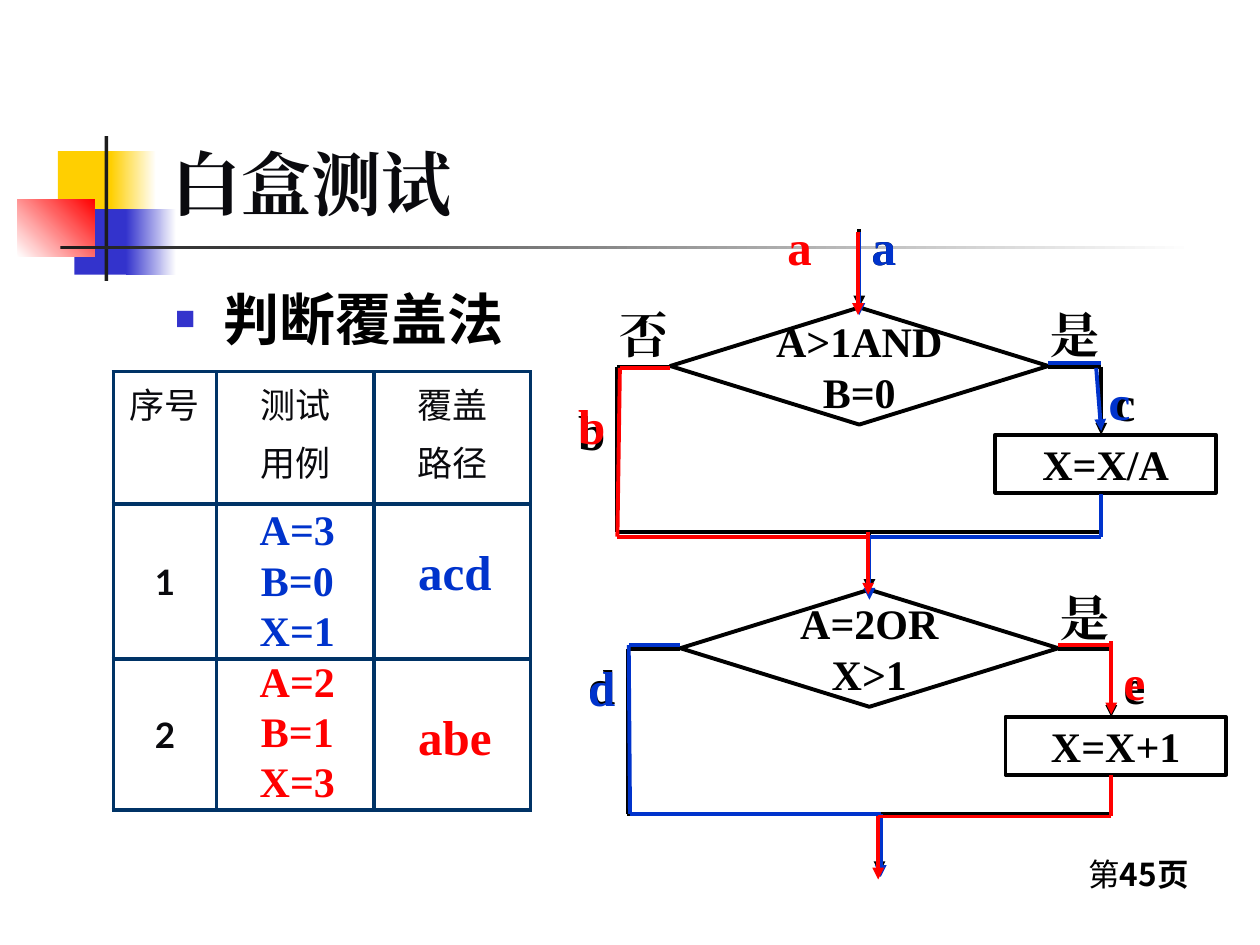
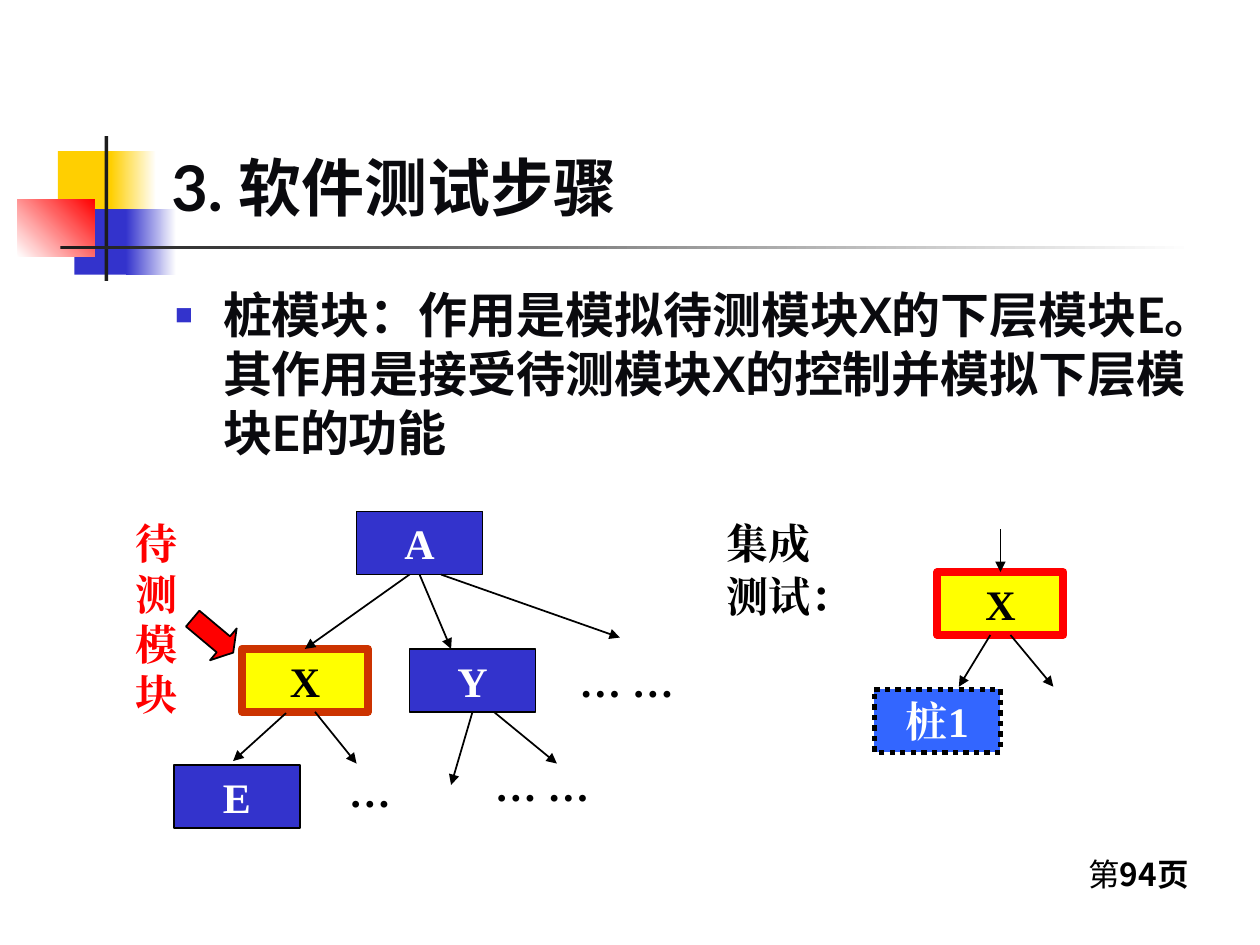
from lxml import etree
from pptx import Presentation
from pptx.dml.color import RGBColor
from pptx.enum.dml import MSO_LINE
from pptx.enum.shapes import MSO_CONNECTOR, MSO_SHAPE
from pptx.enum.text import MSO_ANCHOR, MSO_AUTO_SIZE, PP_ALIGN
from pptx.oxml.ns import qn
from pptx.util import Inches, Pt

RECT = MSO_SHAPE.RECTANGLE
PROCESS = MSO_SHAPE.FLOWCHART_PROCESS
DECISION = MSO_SHAPE.FLOWCHART_DECISION
RIGHT_ARROW = MSO_SHAPE.RIGHT_ARROW
STRAIGHT = MSO_CONNECTOR.STRAIGHT
LEFT, CENTER = PP_ALIGN.LEFT, PP_ALIGN.CENTER
TOP, MIDDLE, BOTTOM = MSO_ANCHOR.TOP, MSO_ANCHOR.MIDDLE, MSO_ANCHOR.BOTTOM
DOTTED = MSO_LINE.ROUND_DOT

BLACK = RGBColor(0x00, 0x00, 0x00)
WHITE = RGBColor(0xFF, 0xFF, 0xFF)
INK = RGBColor(0x0A, 0x0A, 0x0E)
CHARCOAL = RGBColor(0x1C, 0x1C, 0x1C)
GOLD = RGBColor(0xFF, 0xCF, 0x01)
INDIGO = RGBColor(0x33, 0x33, 0xCC)
RED = RGBColor(0xFF, 0x00, 0x00)
BLUE = RGBColor(0x00, 0x33, 0xCC)
NAVY = RGBColor(0x00, 0x33, 0x66)
YELLOW = RGBColor(0xFF, 0xFF, 0x00)
RUST = RGBColor(0xCC, 0x33, 0x00)
STUB_BLUE = RGBColor(0x33, 0x66, 0xFF)

SERIF, SANS, CJK = "Times New Roman", "Lato", "Noto Sans CJK SC"

# The slide is a grid of 10 columns by 7.5 rows; all positions count its cells.
COLS, ROWS = 10, 7.5
CELL = Inches(1)
FLOW_LINE = 2.25


def grid(*cells):
    return [round(CELL * n) for n in cells]


def style_run(r, size, color, font=SERIF, bold=True, east_asian=None):
    r.font.size = Pt(size)
    r.font.bold = bold
    r.font.color.rgb = color
    r.font.name = font
    ea = etree.SubElement(r.font._element, qn("a:ea"))
    ea.set("typeface", east_asian or font)


def write(tf, text, size, color, align=LEFT, gap=0, **run_style):
    """Fill a text frame, one paragraph per line; gap is the space between them."""
    tf.text = text
    for i, p in enumerate(tf.paragraphs):
        p.alignment = align
        p.space_before = Pt(gap if i else 0)
        for r in p.runs:
            style_run(r, size, color, **run_style)


def add_label(s, text, at, size, color, **style):
    tf = s.shapes.add_textbox(*grid(*at)).text_frame
    tf.word_wrap = True
    write(tf, text, size, color, **style)


def add_box(s, kind, at, fill=None, line=None, width=1.0, text="", color=BLACK):
    sp = s.shapes.add_shape(kind, *grid(*at))
    sp.shadow.inherit = False
    if fill is None:
        sp.fill.background()
    else:
        sp.fill.solid()
        sp.fill.fore_color.rgb = fill
    if line is None:
        sp.line.fill.background()
    else:
        sp.line.color.rgb = line
        sp.line.width = Pt(width)
    if text:
        tf = sp.text_frame
        tf.word_wrap = False
        tf.vertical_anchor = MIDDLE
        write(tf, text, 24, color, align=CENTER)
    return sp


def add_fade(s, at, start, end, angle=0):
    """Rectangle with a two-colour gradient."""
    sp = add_box(s, RECT, at)
    sp.fill.gradient()
    sp.fill.gradient_angle = angle
    for stop, color, position in zip(sp.fill.gradient_stops, (start, end), (0, 1)):
        stop.color.rgb = color
        stop.position = position


def add_route(s, points, color=BLACK, width=FLOW_LINE, arrow=True):
    """Chain of straight lines through the points, with an arrowhead at the end."""
    for start, end in zip(points, points[1:]):
        cx = s.shapes.add_connector(STRAIGHT, *grid(*start, *end))
        cx.line.color.rgb = color
        cx.line.width = Pt(width)
        spPr = cx.element.spPr
        if arrow and end == points[-1]:
            tail = etree.SubElement(spPr.find(qn("a:ln")), qn("a:tailEnd"))
            tail.set("type", "triangle")
        etree.SubElement(spPr, qn("a:effectLst"))


def place(ph, at, anchor):
    ph.left, ph.top, ph.width, ph.height = grid(*at)
    tf = ph.text_frame
    tf.word_wrap = True
    tf.auto_size = MSO_AUTO_SIZE.NONE
    tf.vertical_anchor = anchor
    return tf


def add_bullet(p):
    pPr = p._p.get_or_add_pPr()
    pPr.set("marL", str(Inches(0.38)))
    pPr.set("indent", str(-Inches(0.38)))
    color = etree.SubElement(pPr, qn("a:buClr"))
    etree.SubElement(color, qn("a:srgbClr")).set("val", str(INDIGO))
    etree.SubElement(pPr, qn("a:buSzPct")).set("val", "60000")
    etree.SubElement(pPr, qn("a:buChar")).set("char", "■")


def add_ornament(s):
    add_box(s, RECT, (0.46, 1.2, 0.48, 0.52), GOLD)
    add_fade(s, (0.88, 1.2, 0.36, 0.52), GOLD, WHITE)
    add_box(s, RECT, (0.59, 1.66, 0.46, 0.52), INDIGO)
    add_fade(s, (1, 1.66, 0.4, 0.52), INDIGO, WHITE)
    add_fade(s, (0.14, 1.58, 0.61, 0.46), WHITE, RED, angle=45)
    add_box(s, RECT, (0.83, 1.08, 0.03, 1.15), CHARCOAL)
    add_fade(s, (0.48, 1.95, 9, 0.03), CHARCOAL, WHITE)


def add_page_number(s, number):
    tf = s.shapes.add_textbox(*grid(8.54, 6.74, 1.05, 0.4)).text_frame
    tf.word_wrap = True
    for text, bold in (("第", False), (f"{number}页", True)):
        r = tf.paragraphs[0].add_run()
        r.text = text
        style_run(r, 18, BLACK, CJK, bold)


def add_content_slide(prs, number, title, title_size, title_font, body, body_size, body_color):
    s = prs.slides.add_slide(prs.slide_layouts[1])
    add_ornament(s)
    add_page_number(s, number)
    title_ph, body_ph = s.placeholders
    write(place(title_ph, (1.26, 0.23, 8.52, 1.6), BOTTOM), title, title_size, INK,
          font=title_font)
    tf = place(body_ph, (1.29, 2.21, 8.5, 4.5), TOP)
    tf.text = body
    add_bullet(tf.paragraphs[0])
    tf.paragraphs[0].space_before = Pt(0)
    style_run(tf.paragraphs[0].runs[0], body_size, body_color, SANS)
    for ph in (title_ph, body_ph):  # bring the text in front of the ornament
        s.shapes.element.append(ph.element)
    return s


def set_borders(cell):
    tcPr = cell._tc.get_or_add_tcPr()
    for i, side in enumerate(("lnL", "lnR", "lnT", "lnB")):
        ln = etree.Element(qn(f"a:{side}"), w=str(Pt(FLOW_LINE)))
        fill = etree.SubElement(ln, qn("a:solidFill"))
        etree.SubElement(fill, qn("a:srgbClr")).set("val", str(NAVY))
        tcPr.insert(i, ln)


def add_case_table(s):
    widths, heights = (0.82, 1.25, 1.24), (1.05, 1.23, 1.2)
    rows = (("序号", "测试\n用例", "覆盖\n路径"), ("1", "", ""), ("2", "", ""))
    table = s.shapes.add_table(3, 3, *grid(0.9, 2.95, sum(widths), sum(heights))).table
    table.first_row = table.horz_banding = False
    for column, width in zip(table.columns, grid(*widths)):
        column.width = width
    for row, height, texts in zip(table.rows, grid(*heights), rows):
        row.height = height
        for cell, text in zip(row.cells, texts):
            header = texts is rows[0]
            cell.fill.background()
            set_borders(cell)
            cell.vertical_anchor = TOP if header else MIDDLE
            write(cell.text_frame, text, 20, INK, align=CENTER, gap=4,
                  font=SANS, bold=not header, east_asian=CJK)
    for top, path_top, inputs, path, color in (
            (3.95, 4.25, "A=3\nB=0\nX=1", "acd", BLUE),
            (5.15, 5.56, "A=2\nB=1\nX=3", "abe", RED)):
        add_label(s, inputs, (1.9, top, 0.92, 1.3), 24, color, align=CENTER)
        add_label(s, path, (3.15, path_top, 0.92, 0.57), 28, color, align=CENTER)


def add_branch(s, x, y, condition, action):
    """Decision with an action on its right and a bypass on its left, from (x, y)."""
    right, join = x + 3.84, y + 1.31
    add_box(s, DECISION, (x + 0.42, y - 0.47, 3, 0.93), None, BLACK, FLOW_LINE, condition)
    add_route(s, [(x + 3.42, y), (right, y), (right, y + 0.54)])
    add_box(s, RECT, (x + 3, y + 0.54, 1.75, 0.46), None, BLACK, FLOW_LINE, action)
    add_route(s, [(x + 0.42, y), (x, y), (x, join), (right, join), (right, y + 1)],
              arrow=False)
    add_route(s, [(x + 2, join), (x + 2, join + 0.47)])


def add_flow_labels(s, color, labels):
    for text, x, y in labels:
        add_label(s, text, (x, y, 0.58, 0.57), 28, color)


def build_coverage_slide(prs):
    s = add_content_slide(prs, 45, "白盒测试", 40, SERIF, "判断覆盖法", 32, BLACK)
    add_case_table(s)
    add_route(s, [(6.82, 1.82), (6.82, 2.44)])
    add_branch(s, 4.9, 2.91, "A>1AND\nB=0", "X=X/A")
    add_branch(s, 4.98, 5.15, "A=2OR\nX>1", "X=X+1")
    add_flow_labels(s, BLACK, [
        ("是", 8.24, 2.37), ("a", 6.82, 1.67), ("是", 8.32, 4.61), ("否", 4.82, 2.37),
        ("b", 4.49, 3.14), ("c", 8.74, 2.91), ("d", 4.57, 5.15), ("e", 8.82, 5.15)])

    for points in ([(6.82, 1.84), (6.82, 2.5)],
                   [(8.7, 2.92), (8.74, 3.42)],
                   [(8.74, 3.92), (8.74, 4.26), (6.9, 4.26), (6.9, 4.76)],
                   [(5.4, 5.12), (4.99, 5.12), (5, 6.46), (6.99, 6.46), (6.99, 6.96)]):
        add_route(s, points, BLUE)
    add_route(s, [(8.32, 2.88), (8.74, 2.88)], BLUE, arrow=False)
    add_flow_labels(s, BLUE, [("a", 6.82, 1.67), ("c", 8.7, 2.9), ("d", 4.57, 5.17)])

    add_route(s, [(5.32, 2.92), (4.92, 2.92), (4.9, 4.26), (6.9, 4.26)], RED, arrow=False)
    add_route(s, [(8.4, 5.12), (8.82, 5.12)], RED, arrow=False)
    for points in ([(6.81, 1.84), (6.81, 2.5)],
                   [(6.89, 4.22), (6.89, 4.72)],
                   [(8.82, 5.09), (8.82, 5.67)],
                   [(8.82, 6.15), (8.82, 6.48), (6.97, 6.48), (6.97, 6.98)]):
        add_route(s, points, RED)
    add_flow_labels(s, RED, [("a", 6.15, 1.67), ("b", 4.49, 3.09), ("e", 8.82, 5.12)])


def add_module(s, name, x, y, fill=INDIGO, line=BLACK, width=1.0, color=WHITE):
    return add_box(s, PROCESS, (x, y, 1, 0.5), fill, line, width, name, color)


def build_stub_slide(prs):
    s = add_content_slide(
        prs, 94, "3. 软件测试步骤", 36, SANS,
        "桩模块：作用是模拟待测模块X的下层模块E。其作用是接受待测模块X的控制并模拟下层模块E的功能",
        28, INK)
    add_module(s, "A", 2.83, 4.06)
    add_module(s, "X", 1.92, 5.15, YELLOW, RUST, 4.5, BLACK)
    add_module(s, "Y", 3.25, 5.15)
    add_module(s, "E", 1.38, 6.07)
    add_module(s, "X", 7.44, 4.54, YELLOW, RED, 4.5, BLACK)
    stub = add_module(s, "桩1", 6.94, 5.47, STUB_BLUE, width=3)
    stub.line.dash_style = DOTTED

    for text, x, y, width in (("… …", 4.5, 5.15, 1), ("… …", 3.83, 5.98, 1),
                              ("…", 2.67, 6.03, 0.5)):
        add_label(s, text, (x, y, width, 0.5), 24, BLACK)
    add_label(s, "待测模块", (0.98, 4.06, 0.45, 1.7), 24, RED)
    add_label(s, "集成\n测试：", (5.67, 4.06, 1.3, 0.92), 24, BLACK, gap=1.2)

    for call in ([(3.25, 4.56), (2.42, 5.15)], [(3.33, 4.56), (3.58, 5.15)],
                 [(3.5, 4.56), (4.92, 5.06)], [(2.27, 5.66), (1.85, 6.04)],
                 [(2.5, 5.65), (2.83, 6.06)], [(3.75, 5.65), (3.58, 6.23)],
                 [(3.92, 5.65), (4.42, 6.06)], [(7.86, 5.04), (7.61, 5.45)],
                 [(8.02, 5.04), (8.36, 5.45)], [(7.94, 4.2), (7.94, 4.54)]):
        add_route(s, call, width=1)
    pointer = add_box(s, RIGHT_ARROW, (1.48, 4.88, 0.42, 0.33), RED, BLACK)
    pointer.adjustments[1] = 0.31
    pointer.rotation = 40


def main():
    prs = Presentation()
    prs.slide_width, prs.slide_height = grid(COLS, ROWS)
    build_coverage_slide(prs)
    build_stub_slide(prs)
    prs.save("out.pptx")


if __name__ == "__main__":
    main()
